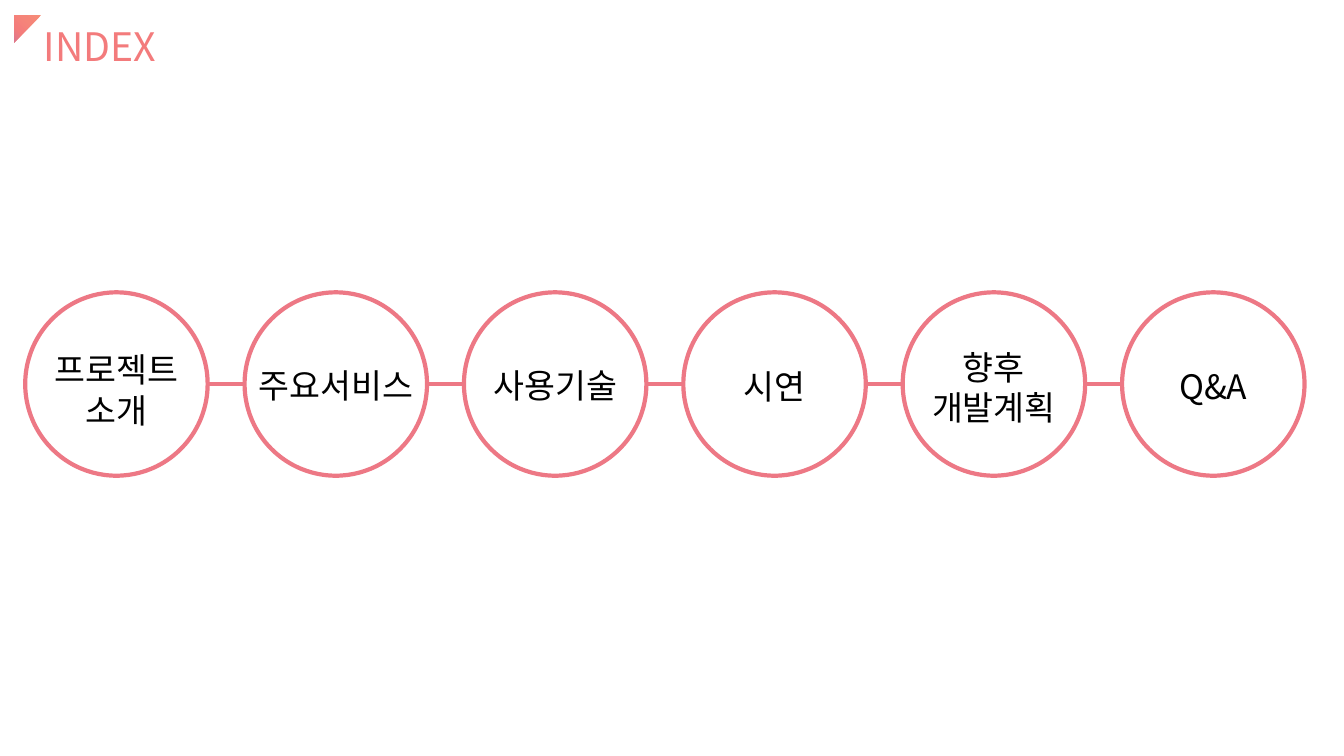
from copy import deepcopy

from lxml import etree
from pptx import Presentation
from pptx.dml.color import RGBColor
from pptx.enum import shapes, text
from pptx.oxml import ns
from pptx.util import Pt

# Content: lines of each step, and how far its text sits below centre
TITLE = "INDEX"
STEPS = [
    (["프로젝트", "소개"], 4),
    (["주요서비스"], 1),
    (["사용기술"], 1),
    (["시연"], 1.5),
    (["향후", "개발계획"], 2),
    (["Q&A"], 1.5),
]

FONT = "Noto Sans CJK KR"
CORAL = RGBColor(0xF3, 0x7B, 0x7C)
ROSE = RGBColor(0xED, 0x78, 0x85)
BLACK = RGBColor(0, 0, 0)
WHITE = RGBColor(255, 255, 255)
CORNER_STOPS = [
    (0, RGBColor(0xF7, 0x8D, 0x77)),
    (0.35, RGBColor(0xF5, 0x85, 0x79)),
    (0.71, RGBColor(0xF4, 0x7C, 0x7B)),
    (1, RGBColor(0xDB, 0x77, 0x91)),
]

# Circle row, in points
LEFT, TOP, WIDTH, HEIGHT, PITCH = 18, 208.8, 130.3, 131, 156.7
MIDDLE = TOP + HEIGHT / 2


def write(shape, lines, size, color, align, frame_format):
    frame = shape.text_frame
    for name, value in frame_format.items():
        setattr(frame, name, value)
    for number, line in enumerate(lines):
        para = frame.add_paragraph() if number else frame.paragraphs[0]
        para.alignment = align
        span = para.add_run()
        span.text = line
        for name, value in {"name": FONT, "size": Pt(size)}.items():
            setattr(span.font, name, value)
        span.font.color.rgb = color
        # Hangul takes the East Asian font
        etree.SubElement(span.font._element, ns.qn("a:ea"), typeface=FONT)


deck = Presentation()
deck.slide_width, deck.slide_height = Pt(960), Pt(540)
page = deck.slides.add_slide(deck.slide_layouts[5])

# Title
title = page.shapes.title
for name, value in {"left": 24, "top": 12, "width": 96, "height": 41}.items():
    setattr(title, name, Pt(value))
write(title, [TITLE], 28, CORAL, text.PP_ALIGN.LEFT, {
    "word_wrap": False,
    "auto_size": text.MSO_AUTO_SIZE.NONE,
    "vertical_anchor": text.MSO_ANCHOR.TOP,
})

# Corner triangle
corner = page.shapes.add_shape(
    shapes.MSO_SHAPE.RIGHT_TRIANGLE, Pt(10), Pt(10.8), Pt(19.5), Pt(19.5))
corner.rotation = 90
corner.shadow.inherit = False
corner.line.fill.background()
corner.fill.gradient()
corner.fill.gradient_angle = 315
stop_list = corner._element.find(".//" + ns.qn("a:gsLst"))
while len(stop_list) < len(CORNER_STOPS):
    stop_list.append(deepcopy(stop_list[0]))
for stop, (position, color) in zip(corner.fill.gradient_stops, CORNER_STOPS):
    stop.position = position
    stop.color.rgb = color

# Line behind the circles
link = page.shapes.add_connector(
    shapes.MSO_CONNECTOR.STRAIGHT, Pt(LEFT + WIDTH), Pt(MIDDLE),
    Pt(LEFT + PITCH * (len(STEPS) - 1)), Pt(MIDDLE))
link.line.color.rgb = ROSE
link.line.width = Pt(2.25)
etree.SubElement(link._element.spPr, ns.qn("a:effectLst"))

# Circles with their labels
for index, (lines, drop) in enumerate(STEPS):
    circle = page.shapes.add_shape(
        shapes.MSO_SHAPE.OVAL, Pt(LEFT + index * PITCH), Pt(TOP),
        Pt(WIDTH), Pt(HEIGHT))
    circle.shadow.inherit = False
    circle.fill.solid()
    circle.fill.fore_color.rgb = WHITE
    circle.line.color.rgb = ROSE
    circle.line.width = Pt(3)
    write(circle, lines, 24, BLACK, text.PP_ALIGN.CENTER, {
        "word_wrap": False,
        "vertical_anchor": text.MSO_ANCHOR.MIDDLE,
        "margin_left": 0,
        "margin_right": 0,
        "margin_top": Pt(2 * drop),
        "margin_bottom": 0,
    })

deck.save("out.pptx")
